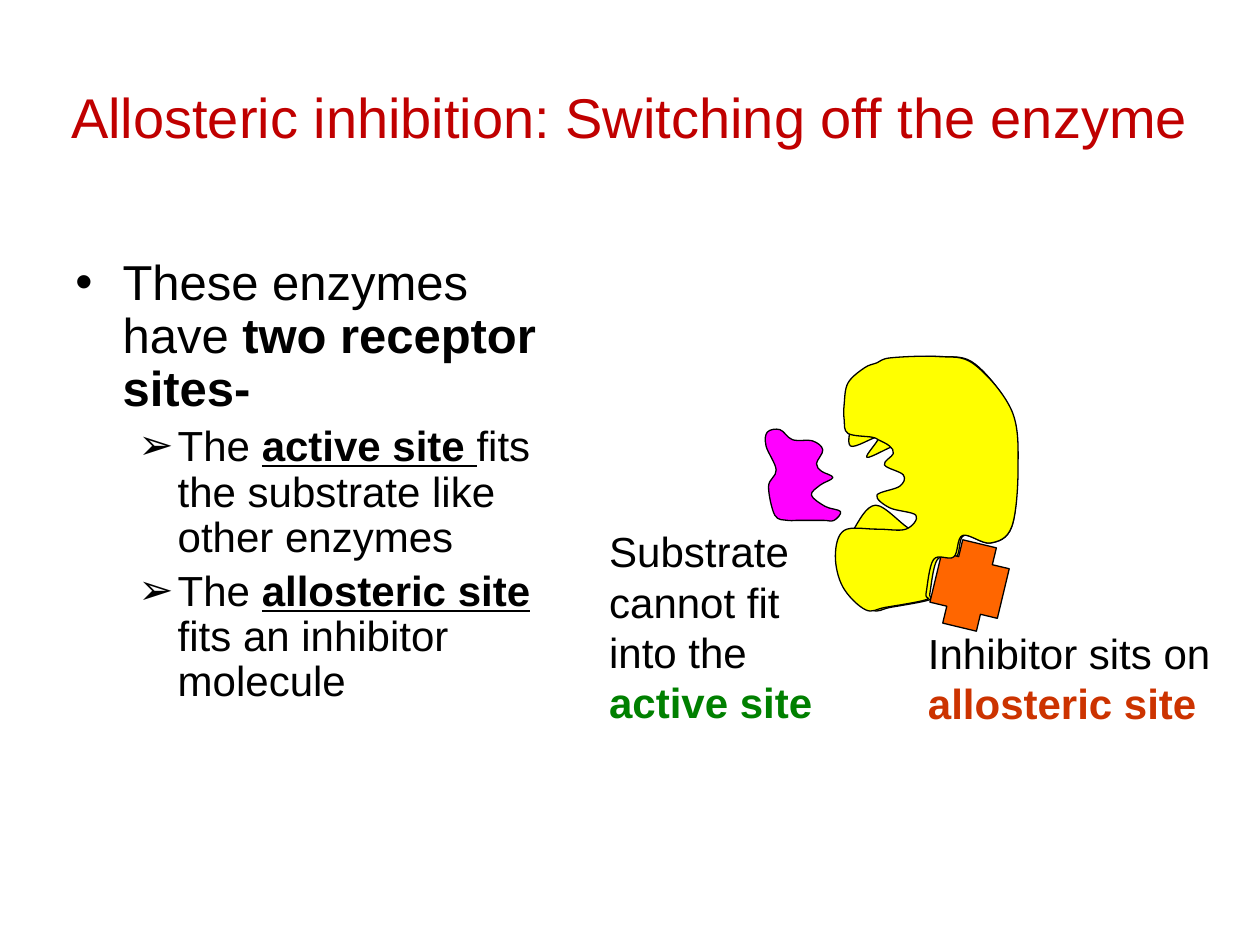
from lxml import etree
from pptx import Presentation
from pptx.dml.color import RGBColor
from pptx.enum.shapes import MSO_SHAPE
from pptx.enum.text import MSO_ANCHOR, PP_ALIGN
from pptx.oxml.ns import qn
from pptx.util import Pt

CROSS = MSO_SHAPE.CROSS
MIDDLE = MSO_ANCHOR.MIDDLE
CENTER = PP_ALIGN.CENTER

BLACK = RGBColor(0x00, 0x00, 0x00)
RED = RGBColor(0xC0, 0x00, 0x00)
RUST = RGBColor(0xCC, 0x33, 0x00)
GREEN = RGBColor(0x00, 0x80, 0x00)
YELLOW = RGBColor(0xFF, 0xFF, 0x00)
MAGENTA = RGBColor(0xFF, 0x00, 0xFF)
ORANGE = RGBColor(0xFF, 0x66, 0x00)

FONT = "Arial"
GRID = 0.72  # points per outline unit (a hundredth of an inch)

# Knots of the closed smooth outlines, in outline units
ENZYME_BACK = [
    (697, 347), (675, 354), (676, 333), (676, 321), (679, 305), (692, 292),
    (701, 288), (711, 285), (747, 283), (774, 289), (802, 326), (807, 371),
    (803, 418), (786, 431), (765, 425), (759, 442), (744, 444), (738, 471),
    (738, 476), (707, 482), (692, 484), (675, 466), (669, 441), (677, 421),
    (695, 401), (723, 420), (730, 409), (710, 403), (700, 393), (718, 386),
    (721, 377), (707, 369), (713, 360), (710, 354), (688, 363),
]
ENZYME_FRONT = [
    (692, 347), (673, 344), (670, 333), (670, 321), (673, 304), (686, 292),
    (696, 288), (707, 284), (745, 283), (773, 289), (803, 326), (808, 371),
    (803, 418), (786, 431), (764, 425), (757, 442), (741, 444), (735, 471),
    (735, 476), (703, 482), (687, 484), (669, 466), (663, 441), (670, 421),
    (696, 420), (719, 420), (727, 409), (706, 403), (696, 393), (714, 386),
    (717, 377), (702, 369), (709, 360), (706, 354), (697, 349),
]
SUBSTRATE = [
    (629, 349), (645, 350), (653, 357), (648, 368), (652, 374), (661, 379),
    (651, 385), (644, 393), (655, 402), (667, 406), (662, 413), (654, 413),
    (644, 413), (632, 413), (625, 413), (615, 409), (610, 386), (616, 373),
    (608, 354), (609, 343), (619, 341),
]


def style_shape(shape, color):
    shape.shadow.inherit = False
    shape.fill.solid()
    shape.fill.fore_color.rgb = color
    shape.line.color.rgb = BLACK
    shape.line.width = Pt(0.75)


def round_outline(shape):
    """Turn the closed outline's straight segments into Bezier curves."""
    segments = list(shape._element.iter(qn("a:lnTo")))
    knots = [(int(segment[0].get("x")), int(segment[0].get("y")))
             for segment in segments]
    count = len(knots)
    for index, segment in enumerate(segments):
        before, start, end, after = (
            knots[(index + offset) % count] for offset in (-2, -1, 0, 1))
        first = [s + (e - b) / 6 for b, s, e in zip(before, start, end)]
        second = [e - (a - s) / 6 for s, e, a in zip(start, end, after)]
        curve = etree.Element(qn("a:cubicBezTo"))
        for x, y in (first, second, end):
            etree.SubElement(curve, qn("a:pt"), x=str(round(x)), y=str(round(y)))
        segment.getparent().replace(segment, curve)


def add_blob(slide, knots, color):
    start, *others = [(Pt(GRID * x), Pt(GRID * y)) for x, y in knots]
    builder = slide.shapes.build_freeform(*start, scale=1.0)
    builder.add_line_segments(others + [start], close=True)
    blob = builder.convert_to_shape()
    round_outline(blob)
    style_shape(blob, color)


def add_runs(paragraph, size, runs):
    """Each run is (text, bold, underlined, colour)."""
    for text, bold, underlined, color in runs:
        run = paragraph.add_run()
        run.text = text
        run.font.name = FONT
        run.font.size = Pt(size)
        run.font.bold = bold
        run.font.underline = underlined
        run.font.color.rgb = color


def set_bullet(paragraph, symbol, margin, indent):
    properties = paragraph._p.get_or_add_pPr()
    properties.set("marL", str(Pt(margin)))
    properties.set("indent", str(Pt(indent)))
    etree.SubElement(properties, qn("a:buFont")).set("typeface", FONT)
    etree.SubElement(properties, qn("a:buChar")).set("char", symbol)


def add_text_frame(slide, left, top, width, height):
    text_frame = slide.shapes.add_textbox(
        Pt(left), Pt(top), Pt(width), Pt(height)).text_frame
    text_frame.word_wrap = True
    return text_frame


def next_paragraph(text_frame, index):
    return text_frame.add_paragraph() if index else text_frame.paragraphs[0]


def add_label(slide, left, top, width, height, lines):
    text_frame = add_text_frame(slide, left, top, width, height)
    for index, runs in enumerate(lines):
        add_runs(next_paragraph(text_frame, index), 24, runs)


def add_title(slide):
    title = slide.shapes.title
    title.left, title.top, title.width, title.height = (
        Pt(18), Pt(21.6), Pt(684), Pt(90))
    text_frame = title.text_frame
    text_frame.text = "Allosteric inhibition: Switching off the enzyme"
    text_frame.vertical_anchor = MIDDLE
    paragraph = text_frame.paragraphs[0]
    paragraph.alignment = CENTER
    font = paragraph.runs[0].font
    font.name = FONT
    font.size = Pt(32)
    font.color.rgb = RED


def add_bullets(slide):
    main_level = (0, 28, "•", 27, -27)
    sub_level = (1, 24, "➢", 58.5, -22.5)
    bullets = [
        (main_level, [("These enzymes have ", False, False, BLACK),
                      ("two receptor sites-", True, False, BLACK)]),
        (sub_level, [("The ", False, False, BLACK),
                     ("active site ", True, True, BLACK),
                     ("fits the substrate like other enzymes", False, False, BLACK)]),
        (sub_level, [("The ", False, False, BLACK),
                     ("allosteric site", True, True, BLACK),
                     (" fits an inhibitor molecule", False, False, BLACK)]),
    ]
    text_frame = add_text_frame(slide, 36, 144, 304.5, 345)
    for index, ((level, size, symbol, margin, indent), runs) in enumerate(bullets):
        paragraph = next_paragraph(text_frame, index)
        paragraph.level = level
        set_bullet(paragraph, symbol, margin, indent)
        paragraph.line_spacing = 0.9
        if index:
            paragraph.space_before = Pt(size * 0.2)
        add_runs(paragraph, size, runs)


def add_inhibitor(slide):
    inhibitor = slide.shapes.add_shape(
        CROSS, Pt(534.24), Pt(310.1), Pt(39.6), Pt(48.96))
    inhibitor.rotation = 13.5
    style_shape(inhibitor, ORANGE)


def main():
    presentation = Presentation()
    presentation.slide_width, presentation.slide_height = Pt(720), Pt(540)
    slide = presentation.slides.add_slide(presentation.slide_layouts[5])

    # Title and explanation
    add_title(slide)
    add_bullets(slide)

    # Enzyme with substrate and inhibitor, from back to front
    add_label(slide, 523.2, 355, 196.8, 65, [
        [("Inhibitor sits on ", False, False, BLACK),
         ("allosteric site", True, False, RUST)]])
    add_blob(slide, ENZYME_BACK, YELLOW)
    add_blob(slide, SUBSTRATE, MAGENTA)
    add_label(slide, 341, 296.9, 151, 129, [
        [("Substrate", False, False, BLACK)],
        [("cannot fit into the ", False, False, BLACK),
         ("active site", True, False, GREEN)]])
    add_inhibitor(slide)
    add_blob(slide, ENZYME_FRONT, YELLOW)

    presentation.save("out.pptx")


if __name__ == "__main__":
    main()
